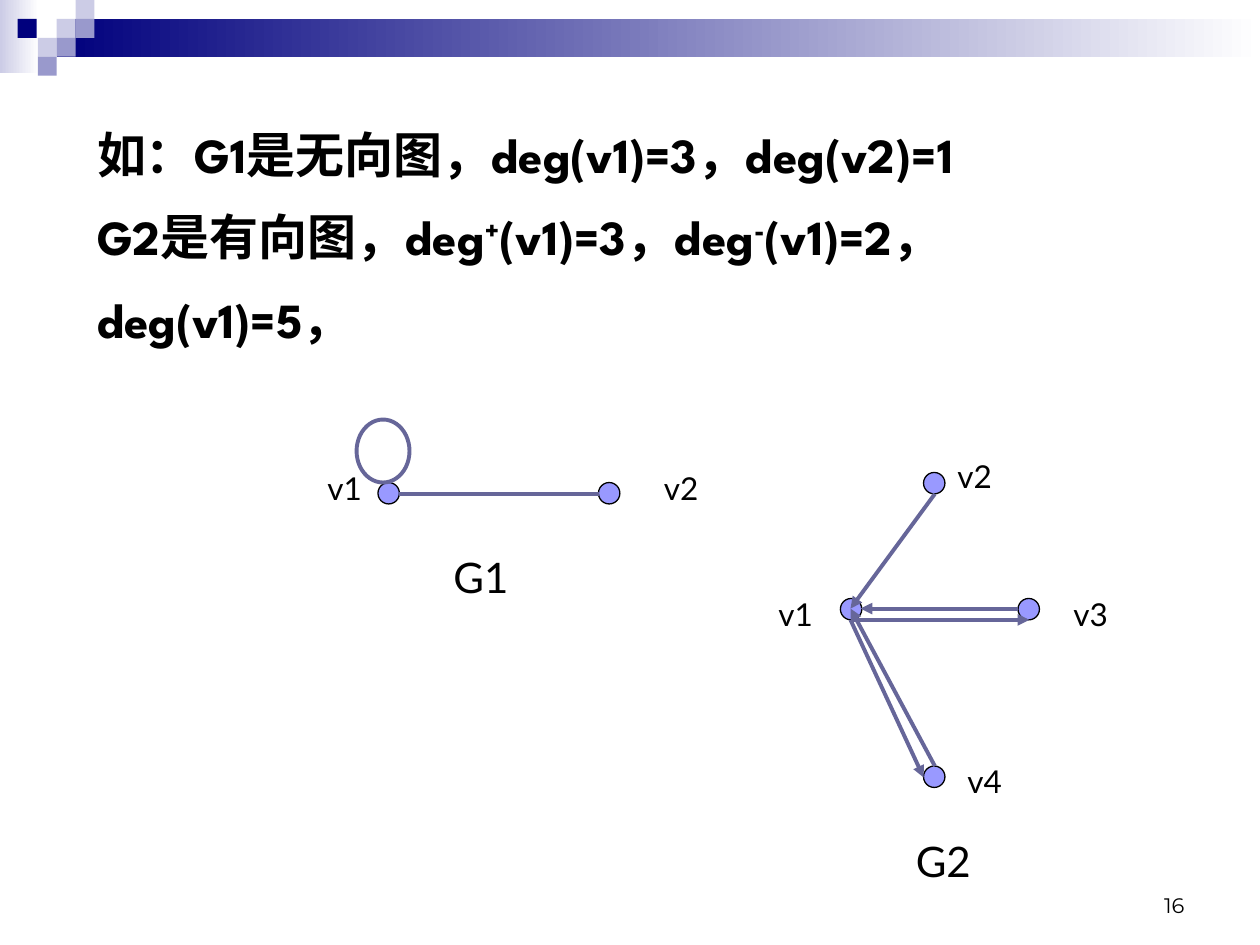
from dataclasses import dataclass
from pptx import Presentation, util as u
from pptx.dml.color import RGBColor
from pptx.enum import shapes as sh, text as tx
from pptx.oxml.ns import qn
from lxml import etree

HUES = {"navy": "00007D", "pale": "CCCCE6", "mid": "9999CC", "white": "FFFFFF",
        "black": "000000", "node": "9999FF", "edge": "666699"}
NODE = 0.17


@dataclass
class Block:
    x: float
    y: float
    hue: str


@dataclass
class Edge:
    x1: float
    y1: float
    x2: float
    y2: float
    arrow: bool = True


@dataclass
class Label:
    x: float
    y: float
    word: str
    size: int = 18
    wide: float = 0.5


@dataclass
class Graph:
    nodes: list[tuple[float, float]]
    edges: list[Edge]
    labels: list[Label]


def rgb(hue: str) -> RGBColor:
    return RGBColor.from_string(HUES[hue])


def box(x: float, y: float, w: float, h: float) -> list[int]:
    return [u.Inches(v) for v in (x, y, w, h)]


def draw(kind, x: float, y: float, w: float, h: float, hue: str,
         fade: bool = False, line: str = "", width: float = 0.74) -> None:
    item = slide.shapes.add_shape(kind, *box(x, y, w, h))
    item.shadow.inherit = False
    if fade:
        item.fill.gradient()
        item.fill.gradient_angle = 0
        for stop, tone in zip(item.fill.gradient_stops, (hue, "white")):
            stop.color.rgb = rgb(tone)
    else:
        item.fill.solid()
        item.fill.fore_color.rgb = rgb(hue)
    if line:
        item.line.color.rgb = rgb(line)
        item.line.width = u.Pt(width)
    else:
        item.line.fill.background()


def style(para, face: str, size: int, bold: bool = False) -> None:
    font = para.font
    font.name, font.size, font.bold = face, u.Pt(size), bold
    font.color.rgb = rgb("black")


def join(edge: Edge) -> None:
    ends = [u.Inches(v) for v in (edge.x1, edge.y1, edge.x2, edge.y2)]
    item = slide.shapes.add_connector(sh.MSO_CONNECTOR.STRAIGHT, *ends)
    item.line.color.rgb = rgb("edge")
    item.line.width = u.Pt(2.24)
    if edge.arrow:
        etree.SubElement(item.line._get_or_add_ln(), qn("a:tailEnd"), type="triangle")
    etree.SubElement(item._element.spPr, qn("a:effectLst"))


def write(label: Label) -> None:
    high = 0.4 if label.size == 18 else 0.5
    frame = slide.shapes.add_textbox(*box(label.x, label.y, label.wide, high)).text_frame
    frame.word_wrap = True
    frame.auto_size = tx.MSO_AUTO_SIZE.SHAPE_TO_FIT_TEXT
    para = frame.paragraphs[0]
    para.text = label.word
    para.space_before = u.Pt(label.size * 0.625)
    style(para, "Lato", label.size)


def plot(graph: Graph) -> None:
    for x, y in graph.nodes:
        draw(OVAL, x, y, NODE, NODE, "node", line="black")
    for edge in graph.edges:
        join(edge)
    for label in graph.labels:
        write(label)


RECT, OVAL = sh.MSO_SHAPE.RECTANGLE, sh.MSO_SHAPE.OVAL
deck = Presentation()
deck.slide_width, deck.slide_height = u.Inches(10), u.Inches(7.5)
slide = deck.slides.add_slide(deck.slide_layouts[1])
title = slide.shapes.title._element
title.getparent().remove(title)

draw(RECT, 0, 0, 0.31, 0.58, "pale", fade=True)
draw(RECT, 0.45, 0.15, 9.55, 0.3, "navy", fade=True)
for block in (Block(0.45, 0.15, "pale"), Block(0.6, 0, "pale"), Block(0.6, 0.15, "mid"),
              Block(0.3, 0.3, "pale"), Block(0.14, 0.15, "navy"),
              Block(0.45, 0.3, "mid"), Block(0.3, 0.45, "mid")):
    draw(RECT, block.x, block.y, 0.15, 0.15, block.hue)

page = slide.shapes.add_textbox(*box(7.17, 6.83, 2.33, 0.5)).text_frame
page.word_wrap = True
page.vertical_anchor = tx.MSO_ANCHOR.BOTTOM
page.text = "16"
page.paragraphs[0].alignment = tx.PP_ALIGN.RIGHT
style(page.paragraphs[0], "Montserrat", 12)

body = slide.placeholders[1]
body.left, body.top, body.width, body.height = box(0.67, 0.75, 8.83, 2.06)
frame = body.text_frame
frame.auto_size = tx.MSO_AUTO_SIZE.NONE
lines = (["如：G1是无向图，deg(v1)=3，deg(v2)=1"],
         ["G2是有向图，deg", "+", "(v1)=3，deg", "-", "(v1)=2，deg(v1)=5，"])
for i, parts in enumerate(lines):
    para = frame.add_paragraph() if i else frame.paragraphs[0]
    for part in parts:
        run = para.add_run()
        run.text = part
        if part in "+-":
            run.font._element.set("baseline", "30000")
    para.line_spacing = 1.4
    para.space_before = u.Pt(0)
    style(para, "League Spartan", 28, True)
    props = para._p.get_or_add_pPr()
    props.set("marL", "0")
    props.set("indent", "0")
    props.find(qn("a:defRPr")).addprevious(etree.Element(qn("a:buNone")))

plot(Graph([(3, 3.83), (4.75, 3.83)],
           [Edge(3.17, 3.92, 4.75, 3.92, False)],
           [Label(2.5, 3.67, "v1"), Label(5.17, 3.67, "v2"),
            Label(3.5, 4.33, "G1", 24, 0.67)]))
draw(OVAL, 2.83, 3.33, 0.42, 0.5, "white", line="edge", width=2.24)
plot(Graph([(6.67, 4.75), (8.08, 4.75), (7.33, 6.08), (7.33, 3.75)],
           [Edge(7.42, 6.08, 6.75, 4.83), Edge(7.42, 3.92, 6.75, 4.83),
            Edge(8.08, 4.83, 6.83, 4.83), Edge(6.75, 4.92, 8.17, 4.92),
            Edge(6.75, 4.92, 7.33, 6.17)],
           [Label(6.08, 4.67, "v1"), Label(8.42, 4.67, "v3"), Label(7.58, 6, "v4"),
            Label(7.5, 3.58, "v2"), Label(7.17, 6.58, "G2", 24, 0.83)]))
deck.save("out.pptx")
